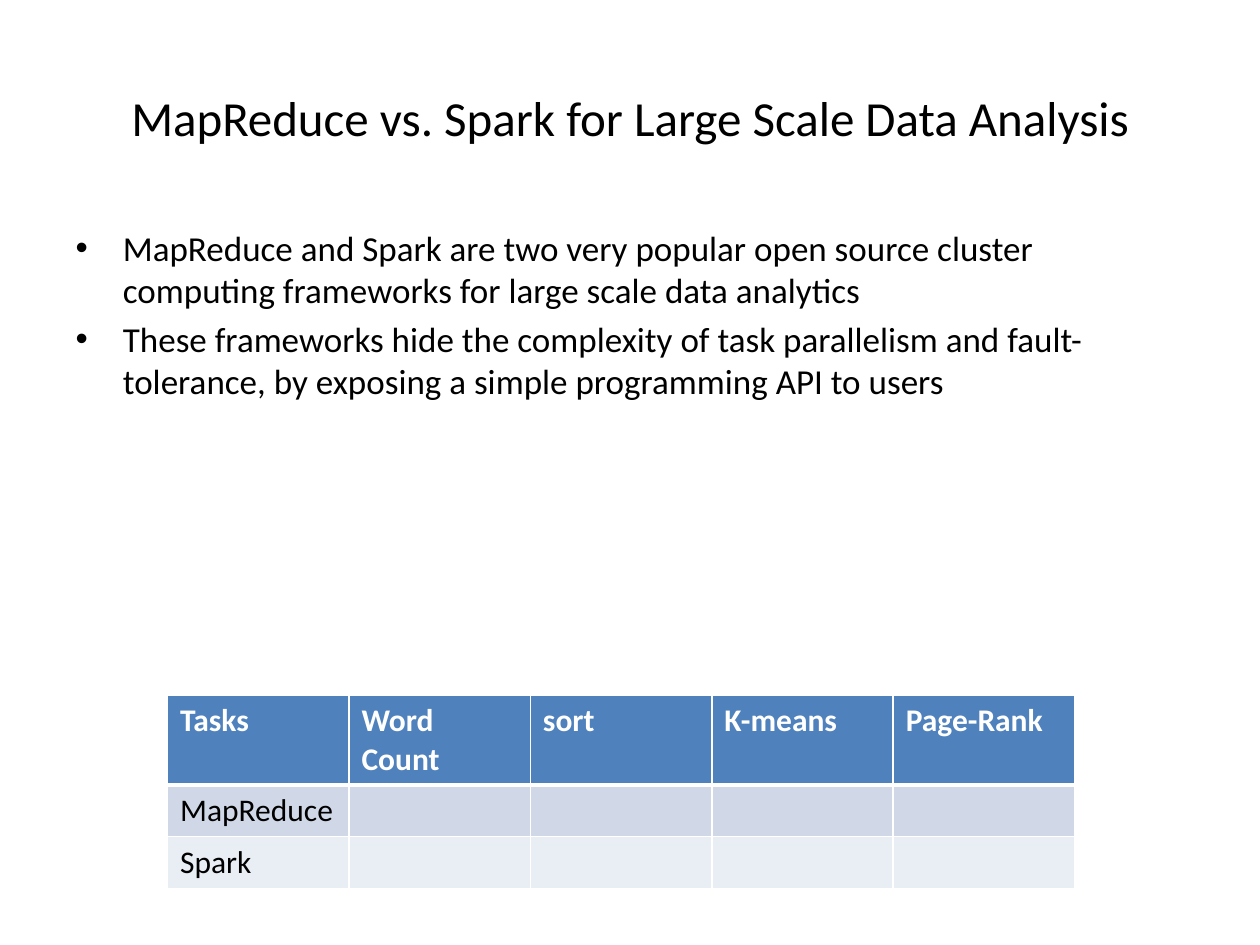
from lxml import etree
from pptx import Presentation
from pptx.dml.color import RGBColor
from pptx.enum.text import MSO_ANCHOR, PP_ALIGN
from pptx.oxml.ns import qn
from pptx.util import Inches, Pt

CENTER, LEFT = PP_ALIGN.CENTER, PP_ALIGN.LEFT
MIDDLE, TOP = MSO_ANCHOR.MIDDLE, MSO_ANCHOR.TOP

BLACK = RGBColor(0x00, 0x00, 0x00)
WHITE = RGBColor(0xFF, 0xFF, 0xFF)
HEADER_BLUE = RGBColor(0x4F, 0x81, 0xBD)
BANDS = [RGBColor(0xD0, 0xD8, 0xE8), RGBColor(0xE9, 0xED, 0xF4)]

TITLE = "MapReduce vs. Spark for Large Scale Data Analysis"
POINTS = [
    "MapReduce and Spark are two very popular open source cluster "
    "computing frameworks for large scale data analytics",
    "These frameworks hide the complexity of task parallelism and "
    "fault-tolerance, by exposing a simple programming API to users",
]
TASKS = [
    ["Tasks", "Word Count", "sort", "K-means", "Page-Rank"],
    ["MapReduce", "", "", "", ""],
    ["Spark", "", "", "", ""],
]


class SlideBuilder:
    font = "Calibri"
    title_size, body_size, table_size = Pt(28), Pt(20), Pt(18)

    def __init__(self, slide):
        self.slide = slide

    def add_run(self, paragraph, text, size, color=BLACK, bold=False):
        run = paragraph.add_run()
        run.text = text
        run.font.name = self.font
        run.font.size = size
        run.font.bold = bold
        run.font.color.rgb = color

    def place(self, shape, left, top, width, height):
        shape.left, shape.top = Inches(left), Inches(top)
        shape.width, shape.height = Inches(width), Inches(height)

    def title(self, text, *box):
        heading = self.slide.shapes.title
        self.place(heading, *box)
        heading.text_frame.vertical_anchor = MIDDLE
        paragraph = heading.text_frame.paragraphs[0]
        paragraph.alignment = CENTER
        self.add_run(paragraph, text, self.title_size)

    def bullets(self, points, *box):
        body = self.slide.placeholders[1]
        self.place(body, *box)
        frame = body.text_frame
        frame.vertical_anchor = TOP
        for i, point in enumerate(points):
            paragraph = frame.add_paragraph() if i else frame.paragraphs[0]
            paragraph.alignment = LEFT
            self.add_run(paragraph, point, self.body_size)

    def border(self, cell, widths):
        """Draw white edges; widths maps lnL, lnR, lnT and lnB to points."""
        properties = cell._tc.get_or_add_tcPr()
        for i, (edge, width) in enumerate(widths.items()):
            line = etree.Element(qn(f"a:{edge}"), w=str(Pt(width)))
            fill = etree.SubElement(line, qn("a:solidFill"))
            etree.SubElement(fill, qn("a:srgbClr"), val=str(WHITE))
            properties.insert(i, line)

    def table(self, rows, left, top, column_width, row_height):
        columns = len(rows[0])
        grid = self.slide.shapes.add_table(
            len(rows), columns, Inches(left), Inches(top),
            Inches(column_width * columns), Inches(row_height * len(rows)),
        ).table
        for column in grid.columns:
            column.width = Inches(column_width)
        for r, texts in enumerate(rows):
            grid.rows[r].height = Inches(row_height)
            header = r == 0
            for c, text in enumerate(texts):
                cell = grid.cell(r, c)
                cell.fill.solid()
                cell.fill.fore_color.rgb = HEADER_BLUE if header else BANDS[(r - 1) % 2]
                self.border(cell, {"lnL": 1, "lnR": 1,
                                   "lnT": 3 if r == 1 else 1,
                                   "lnB": 3 if header else 1})
                paragraph = cell.text_frame.paragraphs[0]
                paragraph.font.size = self.table_size
                if text:
                    self.add_run(paragraph, text, self.table_size,
                                 WHITE if header else BLACK, header)


def main():
    deck = Presentation()
    deck.slide_width, deck.slide_height = Inches(10), Inches(7.5)
    builder = SlideBuilder(deck.slides.add_slide(deck.slide_layouts[1]))

    # Heading and introduction
    builder.title(TITLE, 0.5, 0.3, 9, 1.25)
    builder.bullets(POINTS, 0.5, 1.75, 9, 4.95)

    # Comparison of frameworks by task
    builder.table(TASKS, left=1.33, top=5.52, column_width=1.44, row_height=0.41)

    deck.save("out.pptx")


if __name__ == "__main__":
    main()
